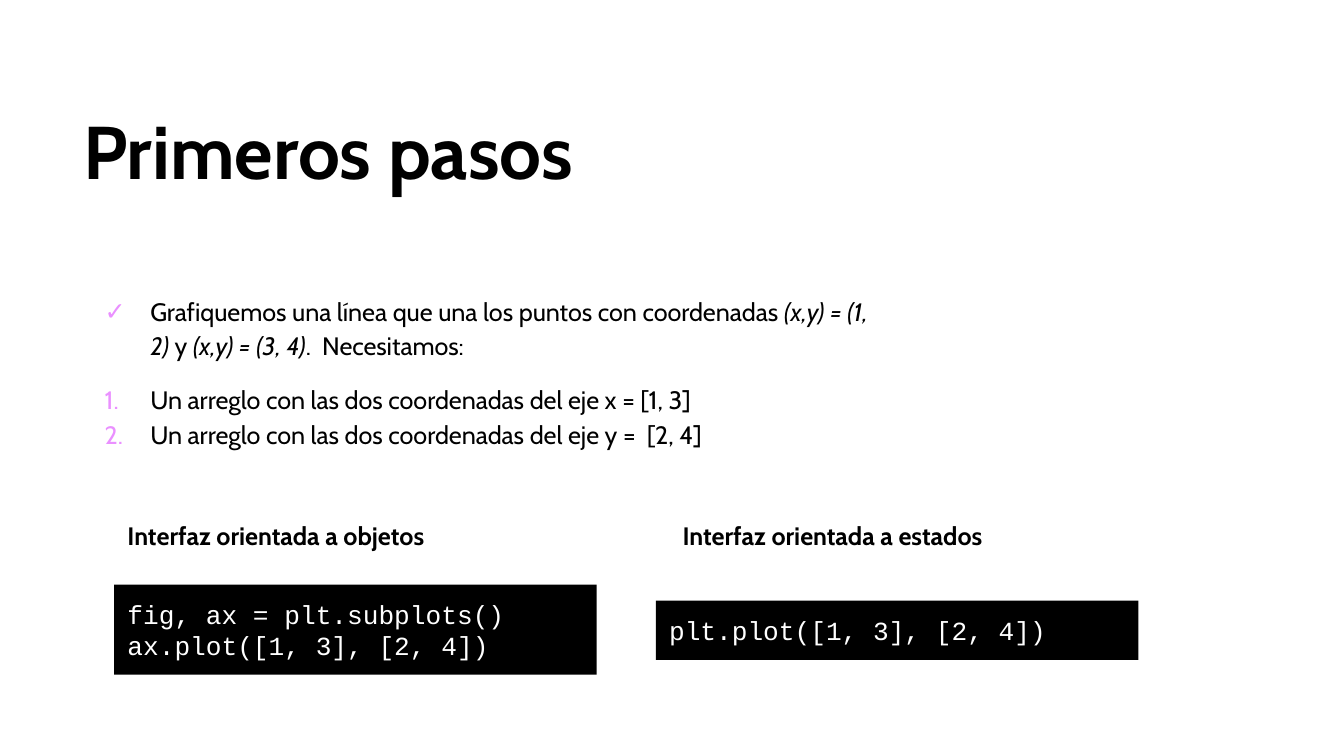
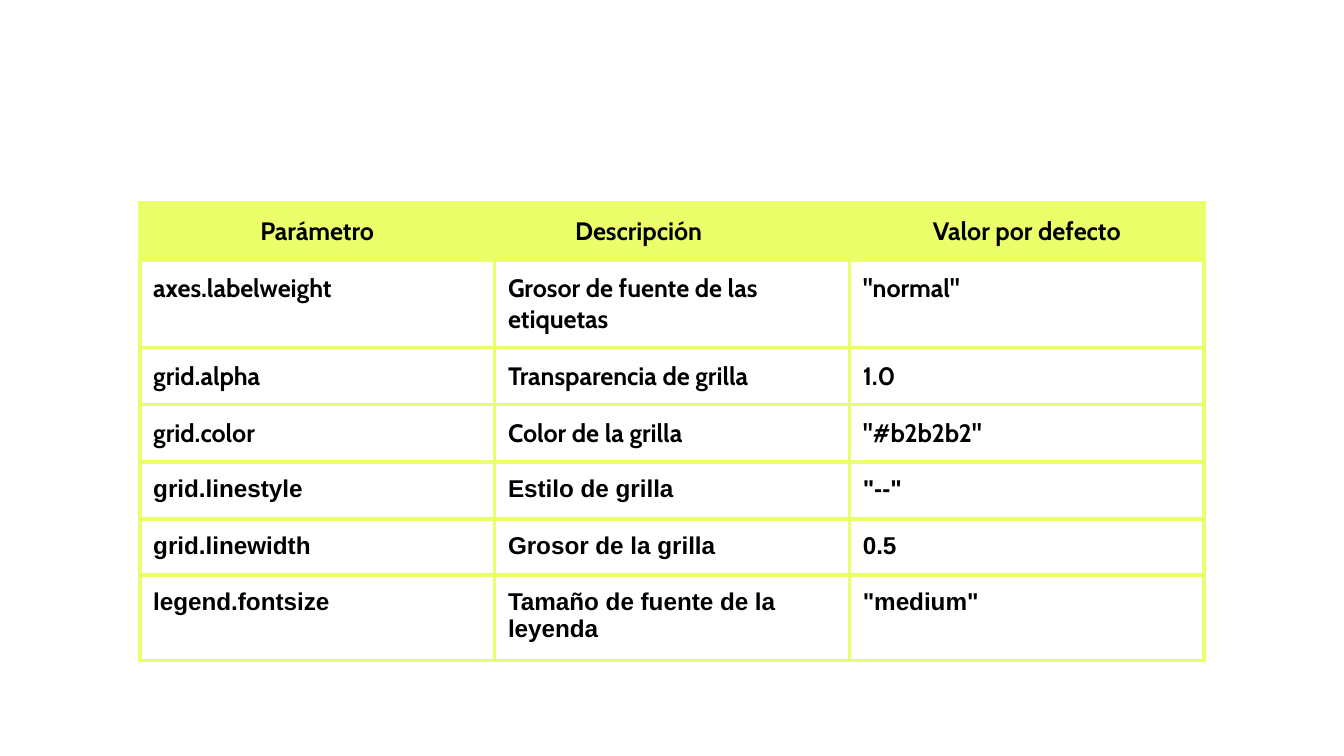
import lxml.etree
import pptx
import pptx.dml.color
import pptx.enum.shapes
import pptx.enum.text
import pptx.oxml.ns
import pptx.util

Inches = pptx.util.Inches
Pt = pptx.util.Pt
ALIGN = pptx.enum.text.PP_ALIGN
ANCHOR = pptx.enum.text.MSO_ANCHOR

BLACK, WHITE, LIME, PINK = "000000", "FFFFFF", "EAFF6A", "EA90FF"
SLIDE_WIDTH = 10
INSET = 0.1
TITLE = {"name": "Cabin", "size": Pt(40), "bold": True}
BODY = {"name": "Cabin", "size": Pt(13.5)}
STRONG = {**BODY, "bold": True}
PLAIN_STRONG = {"name": "Arial", "size": Pt(13), "bold": True}
CODE = {"name": "Courier New", "size": Pt(14)}


def color(value):
    return pptx.dml.color.RGBColor.from_string(value)


def apply_format(target, values):
    for name, value in values.items():
        setattr(target, name, value)


def add_element(parent, tag, **attributes):
    element = lxml.etree.SubElement(parent, pptx.oxml.ns.qn(tag))
    for name, value in attributes.items():
        element.set(name, str(value))
    return element


def add_run(paragraph, text, font, text_color=BLACK):
    run = paragraph.add_run()
    run.text = text
    apply_format(run.font, font)
    run.font.color.rgb = color(text_color)


def set_insets(target):
    sides = ("margin_left", "margin_top", "margin_right", "margin_bottom")
    apply_format(target, dict.fromkeys(sides, Inches(INSET)))


def add_text_frame(slide, box):
    frame = slide.shapes.add_textbox(*map(Inches, box)).text_frame
    frame.word_wrap = True
    set_insets(frame)
    return frame


def add_title(slide, box, text):
    add_run(add_text_frame(slide, box).paragraphs[0], text, TITLE)


def set_bullet(paragraph, tag, **attributes):
    properties = paragraph._p.get_or_add_pPr()
    properties.set("marL", str(Inches(0.5)))
    properties.set("indent", str(Inches(-0.34)))
    add_element(add_element(properties, "a:buClr"), "a:srgbClr", val=PINK)
    add_element(properties, "a:buFont", typeface="Cabin")
    add_element(properties, tag, **attributes)


def add_goal_list(slide, box, goal_parts, steps):
    frame = add_text_frame(slide, box)
    goal = frame.paragraphs[0]
    set_bullet(goal, "a:buChar", char="✓")
    goal.line_spacing = 1.15
    for text, italic in goal_parts:
        add_run(goal, text, {**BODY, "italic": italic})
    for index, text in enumerate(steps):
        step = frame.add_paragraph()
        set_bullet(step, "a:buAutoNum", type="arabicPeriod")
        apply_format(step, {"line_spacing": 1.15, "space_before": Pt(0 if index else 10)})
        add_run(step, text, BODY)


def add_code_headings(slide, box, headings, tab_position):
    paragraph = add_text_frame(slide, box).paragraphs[0]
    tabs = add_element(paragraph._p.get_or_add_pPr(), "a:tabLst")
    add_element(tabs, "a:tab", pos=Inches(tab_position), algn="l")
    apply_format(paragraph, {"line_spacing": 1.15, "space_after": Pt(10)})
    add_run(paragraph, "\t".join(headings), STRONG)


def add_code_block(slide, box, lines):
    shape = slide.shapes.add_shape(
        pptx.enum.shapes.MSO_SHAPE.RECTANGLE, *map(Inches, box))
    shape.shadow.inherit = False
    shape.fill.solid()
    shape.fill.fore_color.rgb = color(BLACK)
    shape.line.fill.background()
    frame = shape.text_frame
    apply_format(frame, {"word_wrap": True, "vertical_anchor": ANCHOR.MIDDLE})
    set_insets(frame)
    for index, line in enumerate(lines):
        paragraph = frame.add_paragraph() if index else frame.paragraphs[0]
        paragraph.alignment = ALIGN.LEFT
        add_run(paragraph, line, CODE, WHITE)


def set_borders(cell):
    properties = cell._tc.get_or_add_tcPr()
    for index, tag in enumerate(("a:lnL", "a:lnR", "a:lnT", "a:lnB")):
        line = add_element(properties, tag, w=Pt(2.25))
        add_element(add_element(line, "a:solidFill"), "a:srgbClr", val=LIME)
        properties.insert(index, line)


def add_parameter_table(slide, box, rows, font, fills):
    table = slide.shapes.add_table(len(rows), len(rows[0]), *map(Inches, box)).table
    apply_format(table, {"first_row": False, "horz_banding": False})
    for column in table.columns:
        column.width = Inches(box[2] / len(rows[0]))
    for row, texts, fill in zip(table.rows, rows, fills):
        row.height = Inches(0.42)
        for cell, text in zip(row.cells, texts):
            set_insets(cell)
            if fill:
                cell.fill.solid()
                cell.fill.fore_color.rgb = color(fill)
            else:
                cell.fill.background()
            set_borders(cell)
            add_run(cell.text_frame.paragraphs[0], text, font)
    return table


def align_header(table):
    left, middle, right = (cell.text_frame.paragraphs[0] for cell in table.rows[0].cells)
    left.alignment = right.alignment = ALIGN.CENTER
    middle._p.get_or_add_pPr().set("marL", str(Inches(0.5)))


def build_first_steps(slide):
    add_title(slide, (0.52, 0.68, 8.9, 0.88), "Primeros pasos")
    add_goal_list(
        slide, (0.52, 2.07, 6.18, 2.56),
        [("Grafiquemos una línea que una los puntos con coordenadas ", False),
         ("(x,y) = (1, 2) ", True),
         ("y ", False),
         ("(x,y) = (3, 4)", True),
         (".  Necesitamos:", False)],
        ["Un arreglo con las dos coordenadas del eje x = [1, 3]",
         "Un arreglo con las dos coordenadas del eje y =  [2, 4]"])
    add_code_block(slide, (0.85, 4.35, 3.59, 0.67),
                   ["fig, ax = plt.subplots()", "ax.plot([1, 3], [2, 4])"])
    add_code_block(slide, (4.88, 4.47, 3.59, 0.44), ["plt.plot([1, 3], [2, 4])"])
    add_code_headings(slide, (0.85, 3.74, 8.29, 0.6),
                      ["Interfaz orientada a objetos", "Interfaz orientada a estados"], 4.13)


def build_parameters(slide):
    left, width = 1.04, 7.92
    main_table = add_parameter_table(
        slide, (left, 1.51, width, 1.92),
        [("Parámetro", "Descripción", "Valor por defecto"),
         ("axes.labelweight", "Grosor de fuente de las etiquetas", '"normal"'),
         ("grid.alpha", "Transparencia de grilla", "1.0"),
         ("grid.color", "Color de la grilla", '"#b2b2b2"')],
        STRONG, [LIME, WHITE, WHITE, WHITE])
    align_header(main_table)
    add_parameter_table(
        slide, (left, 3.44, width, 1.47),
        [("grid.linestyle", "Estilo de grilla", '"--"'),
         ("grid.linewidth", "Grosor de la grilla", "0.5"),
         ("legend.fontsize", "Tamaño de fuente de la leyenda", '"medium"')],
        PLAIN_STRONG, [None] * 3)


def main():
    presentation = pptx.Presentation()
    presentation.slide_width = Inches(SLIDE_WIDTH)
    presentation.slide_height = Inches(SLIDE_WIDTH * 9 / 16)
    for build in (build_first_steps, build_parameters):
        build(presentation.slides.add_slide(presentation.slide_layouts[6]))
    presentation.save("out.pptx")


if __name__ == "__main__":
    main()
